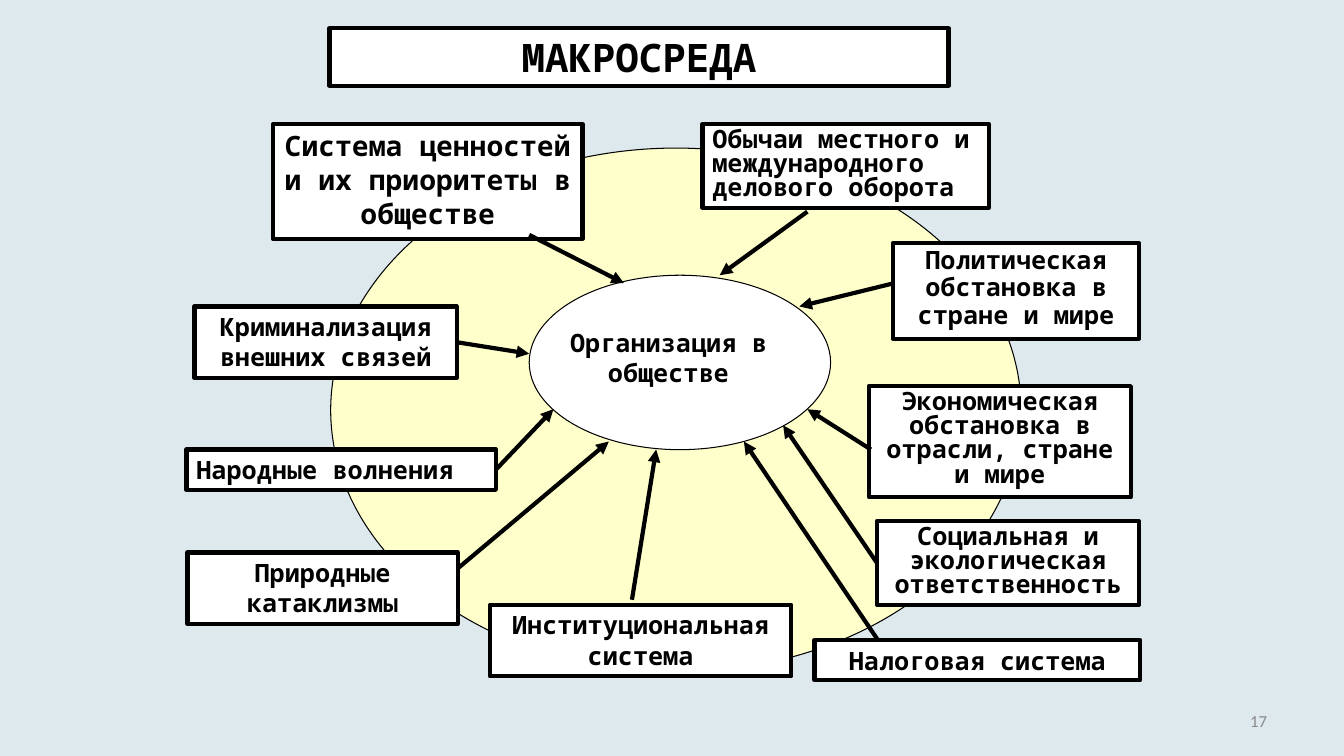
from lxml import etree
from pptx import Presentation
from pptx.dml.color import RGBColor
from pptx.enum.shapes import MSO_CONNECTOR as Connector, MSO_SHAPE as Preset
from pptx.enum.text import MSO_ANCHOR as Anchor, MSO_AUTO_SIZE as AutoSize, PP_ALIGN as Align
from pptx.oxml.ns import qn
from pptx.util import Pt

BACKGROUND = RGBColor(0xDD, 0xE9, 0xEC)
YELLOW = RGBColor(0xFF, 0xFF, 0xCC)
WHITE = RGBColor(0xFF, 0xFF, 0xFF)
BLACK = RGBColor(0x00, 0x00, 0x00)
GRAY = RGBColor(0x89, 0x89, 0x89)

MONO = "Noto Sans Mono"
THICK, THIN = 3, 0.75
RIGHT, LEFT = 3, 1

# Factors: text, (left, top, width, height), format values that differ
FACTORS = [
    ("Обычаи местного и международного делового оборота",
     (501.8, 88.6, 204.5, 59.8), {"alignment": Align.LEFT, "line_spacing": 0.8}),
    ("Политическая обстановка в стране и мире",
     (637.9, 173.5, 175.7, 68.4), {"line_spacing": 0.9}),
    ("Экономическая обстановка в отрасли, стране и мире",
     (620.6, 275.8, 187.2, 79.2), {"line_spacing": 0.8}),
    ("Социальная и экологическая ответственность",
     (626.4, 372.2, 187.2, 59.8), {"line_spacing": 0.8}),
    ("Налоговая система", (581.8, 457.2, 232.6, 28.8), {}),
    ("Институциональная система", (349.9, 432, 215.3, 51.1), {}),
    ("Природные катаклизмы", (133.9, 394.6, 193, 51.1), {}),
    ("Народные волнения", (133.2, 321.1, 221, 28.8), {"alignment": Align.LEFT}),
    ("Криминализация внешних связей", (139, 218.9, 187.2, 51.1), {}),
    ("Система ценностей и их приоритеты в обществе",
     (195.1, 88.6, 221, 82.1), {"size": 20}),
]

# Arrows, in the order of the factors: start, end, joined side of the factor
ARROWS = [
    ((576.7, 151.2), (514.1, 196.6), None),
    ((638.6, 202.3), (571, 218.9), None),
    ((622.1, 321.1), (576.7, 292.3), None),
    ((627.1, 400.3), (559.4, 303.8), LEFT),
    ((627.1, 457.2), (531.4, 315.4), None),
    ((451.4, 428.4), (468.7, 321.1), None),
    ((326.9, 406.1), (434.9, 315.4), None),
    ((355, 332.6), (395.3, 292.3), RIGHT),
    ((326.9, 247.7), (378, 252.7), RIGHT),
    ((378, 167.8), (445.7, 202.3), None),
]


def set_values(target, values):
    for name, value in values.items():
        setattr(target, name, value)


def place(shape, bounds):
    set_values(shape, dict(zip(("left", "top", "width", "height"), map(Pt, bounds))))


def paint(shape, fill, line_width):
    shape.fill.solid()
    shape.fill.fore_color.rgb = fill
    if line_width:
        shape.line.color.rgb = BLACK
        shape.line.width = Pt(line_width)
    else:
        shape.line.fill.background()


def write(shape, text, size=18, font=MONO, color=BLACK, bold=True,
          alignment=Align.CENTER, line_spacing=1.0, anchor=Anchor.TOP):
    frame = shape.text_frame
    set_values(frame, {
        "word_wrap": True, "auto_size": AutoSize.NONE, "vertical_anchor": anchor,
        "margin_left": Pt(7.2), "margin_right": Pt(7.2),
        "margin_top": Pt(3.6), "margin_bottom": Pt(3.6),
    })
    frame.text = text
    paragraph = frame.paragraphs[0]
    set_values(paragraph, {"alignment": alignment, "line_spacing": line_spacing,
                           "space_before": Pt(0)})
    set_values(paragraph.font, {"name": font, "size": Pt(size), "bold": bold})
    paragraph.font.color.rgb = color


def add_shape(slide, preset, bounds, fill=WHITE, line_width=THICK):
    shape = slide.shapes.add_shape(preset, *map(Pt, bounds))
    shape.shadow.inherit = False
    paint(shape, fill, line_width)
    return shape


def add_factor(slide, text, bounds, values):
    box = add_shape(slide, Preset.RECTANGLE, bounds)
    write(box, text, **values)
    return box


def add_arrow(slide, box, start, end, side):
    arrow = slide.shapes.add_connector(Connector.STRAIGHT, *map(Pt, start + end))
    arrow.line.color.rgb = BLACK
    arrow.line.width = Pt(THICK)
    if side is not None:
        arrow.begin_connect(box, side)
    properties = arrow._element.spPr
    line = properties.find(qn("a:ln"))
    etree.SubElement(line, qn("a:tailEnd"), type="triangle")
    etree.SubElement(properties, qn("a:effectLst"))


def main():
    presentation = Presentation()
    presentation.slide_width, presentation.slide_height = Pt(960), Pt(540)
    slide = presentation.slides.add_slide(presentation.slide_layouts[5])
    slide.background.fill.solid()
    slide.background.fill.fore_color.rgb = BACKGROUND

    # Title
    title = slide.shapes.title
    place(title, (235.4, 20.2, 442.1, 41))
    paint(title, WHITE, THICK)
    write(title, "МАКРОСРЕДА", size=28)

    # Environment with the organization in its middle
    add_shape(slide, Preset.OVAL, (236.2, 105.8, 493.2, 374.4), YELLOW, THIN)
    add_shape(slide, Preset.OVAL, (378, 196.6, 215.3, 124.6), WHITE, THIN)
    organization = add_shape(slide, Preset.RECTANGLE, (395.3, 230.4, 164.2, 50.4), WHITE, None)
    write(organization, "Организация в обществе")

    # Factors and their arrows
    boxes = [add_factor(slide, *factor) for factor in FACTORS]
    for box, arrow in zip(boxes, ARROWS):
        add_arrow(slide, box, *arrow)

    # Slide number
    number = slide.shapes.add_textbox(*map(Pt, (688.3, 500.4, 223.9, 28.8)))
    write(number, "17", size=12, font="Calibri", color=GRAY, bold=False,
          alignment=Align.RIGHT, anchor=Anchor.MIDDLE)

    presentation.save("out.pptx")


if __name__ == "__main__":
    main()
